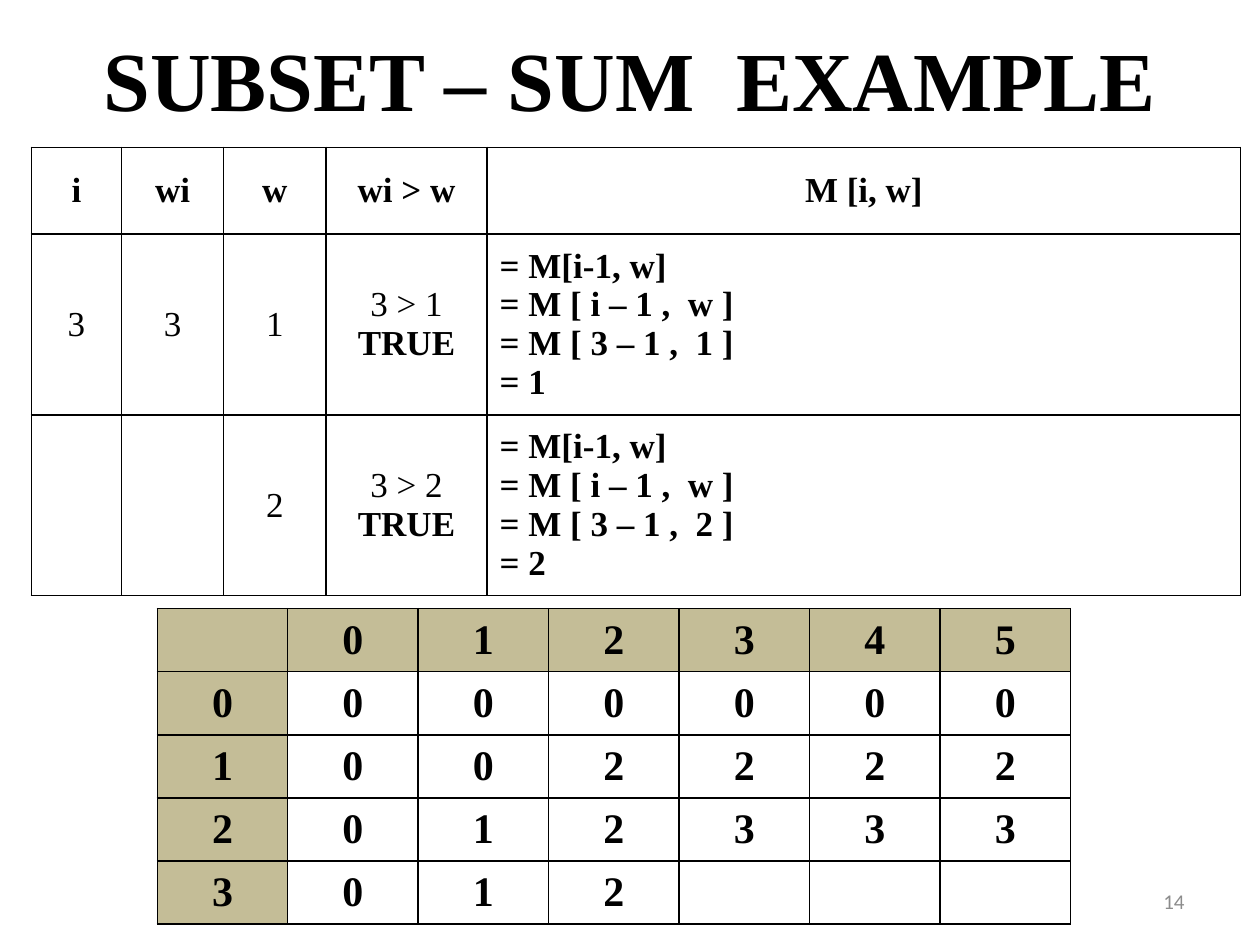
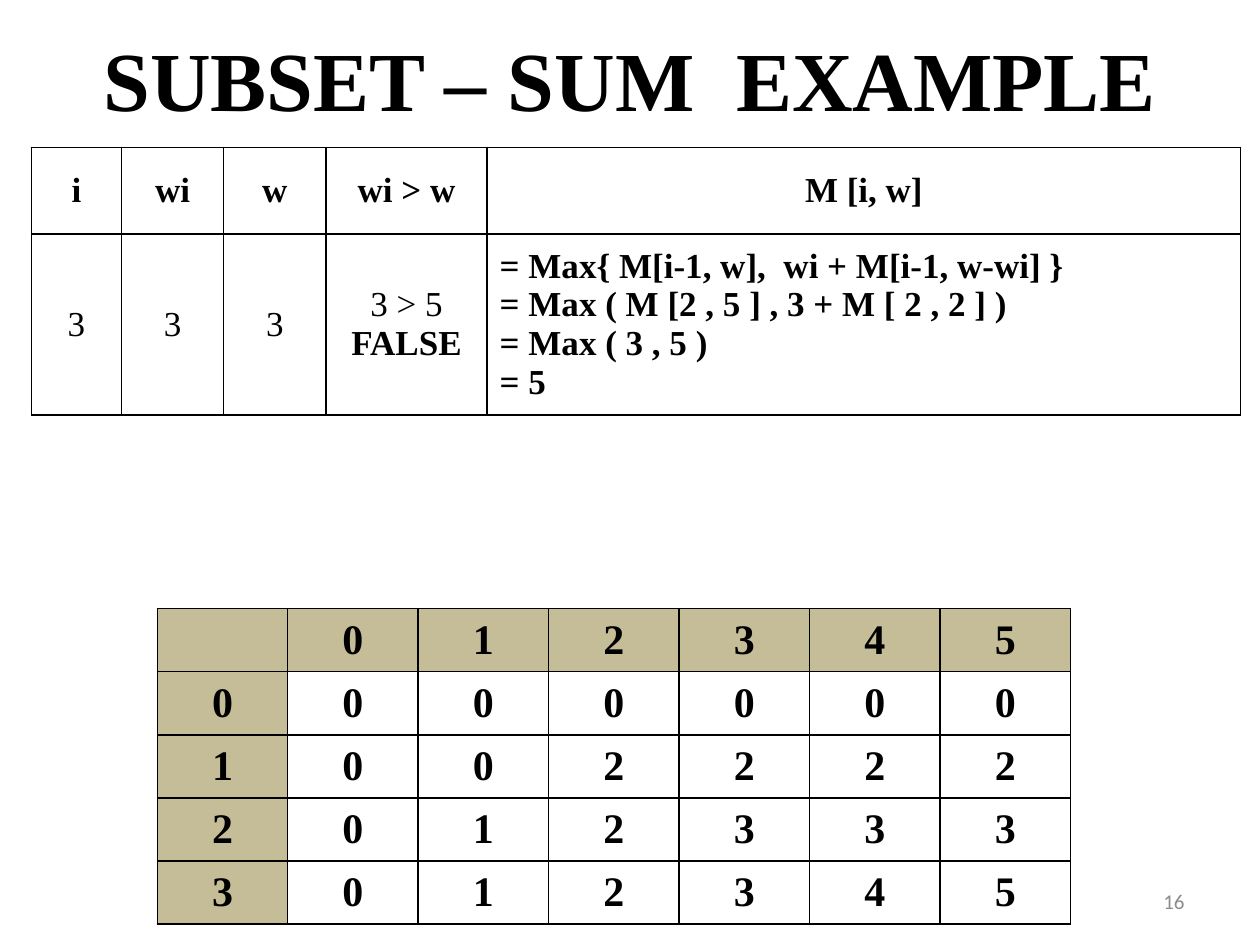
from lxml.etree import SubElement as Sub
from pptx import Presentation as Deck
from pptx.dml.color import RGBColor as Rgb
from pptx.enum.text import MSO_ANCHOR as Anchor, MSO_AUTO_SIZE as Fit, PP_ALIGN as Align
from pptx.oxml.ns import qn
from pptx.util import Cm, Pt

INK = {"text": "000000", "line": "000000", "head": "C4BD97", "page": "8C8C8C"}
SERIF, SANS = "Times New Roman", "Calibri"
TITLE = "SUBSET – SUM  EXAMPLE"
HEADS = ["i", "wi", "w", "wi > w", "M [i, w]"]
WIDTHS = [1.82, 2.06, 2.06, 3.25, 15.19]
SUMS = [
    [0, 0, 0, 0, 0, 0],
    [0, 0, 2, 2, 2, 2],
    [0, 1, 2, 3, 3, 3],
]
SLIDES = [
    {
        "page": "14",
        "steps": [
            ["3", "3", "1", "3 > 1\nTRUE",
             "= M[i-1, w]\n= M [ i – 1 ,  w ]\n= M [ 3 – 1 ,  1 ]\n= 1"],
            ["", "", "2", "3 > 2\nTRUE",
             "= M[i-1, w]\n= M [ i – 1 ,  w ]\n= M [ 3 – 1 ,  2 ]\n= 2"],
        ],
        "last": [0, 1, 2, "", "", ""],
    },
    {
        "page": "16",
        "steps": [
            ["3", "3", "3", "3 > 5\nFALSE",
             "= Max{ M[i-1, w],  wi + M[i-1, w-wi] }\n"
             "= Max ( M [2 , 5 ] , 3 + M [ 2 , 2 ] )\n= Max ( 3 , 5 )\n= 5"],
        ],
        "last": [0, 1, 2, 3, 4, 5],
    },
]


def style(para, size, bold=False, align=Align.CENTER, face=SERIF, tint="text"):
    para.alignment = align
    font = para.font
    font.name, font.size, font.bold = face, Pt(size), bold
    font.color.rgb = Rgb.from_string(INK[tint])


def place(shape, left, top, width, height):
    shape.left, shape.top = Cm(left), Cm(top)
    shape.width, shape.height = Cm(width), Cm(height)


def add_title(slide):
    title = slide.shapes.title
    place(title, 1.27, 0.2, 22.86, 2.74)
    frame = title.text_frame
    frame.text = TITLE
    frame.auto_size = Fit.NONE
    frame.vertical_anchor = Anchor.MIDDLE
    style(frame.paragraphs[0], 48, True)


def add_page(slide, page):
    box = slide.shapes.add_textbox(Cm(18.2), Cm(17.65), Cm(5.93), Cm(1.02))
    frame = box.text_frame
    frame.word_wrap = True
    frame.vertical_anchor = Anchor.MIDDLE
    frame.text = page
    style(frame.paragraphs[0], 12, align=Align.RIGHT, face=SANS, tint="page")


def add_edges(cell):
    props = cell._tc.get_or_add_tcPr()
    for side in ("lnL", "lnR", "lnT", "lnB"):
        line = Sub(props, qn(f"a:{side}"), w=str(Pt(1)))
        fill = Sub(line, qn("a:solidFill"))
        Sub(fill, qn("a:srgbClr"), val=INK["line"])


def add_table(slide, left, top, widths, heights, rows):
    frame = slide.shapes.add_table(
        len(rows), len(widths), Cm(left), Cm(top), Cm(sum(widths)), Cm(sum(heights)))
    table = frame.table
    table.first_row = table.horz_banding = False
    for col, width in zip(table.columns, widths):
        col.width = Cm(width)
    for row, height, texts in zip(table.rows, heights, rows):
        row.height = Cm(height)
        for cell, text in zip(row.cells, texts):
            cell.text = str(text)
            cell.vertical_anchor = Anchor.MIDDLE
            add_edges(cell)
            cell.fill.background()
    return table


def add_grid(slide, last):
    body = SUMS + [last]
    rows = [["", *range(6)]] + [[num, *sums] for num, sums in enumerate(body)]
    table = add_table(slide, 3.17, 12.27, [2.63] * 7, [1.19] * 5, rows)
    for r, row in enumerate(table.rows):
        for c, cell in enumerate(row.cells):
            style(cell.text_frame.paragraphs[0], 24, True)
            if r == 0 or c == 0:
                cell.fill.solid()
                cell.fill.fore_color.rgb = Rgb.from_string(INK["head"])


def add_steps(slide, steps):
    heights = [1.75] + [3.38] * len(steps)
    table = add_table(slide, 0.63, 2.97, WIDTHS, heights, [HEADS] + steps)
    for r, row in enumerate(table.rows):
        for c, cell in enumerate(row.cells):
            wide = r > 0 and c == len(HEADS) - 1
            for para in cell.text_frame.paragraphs:
                bold = r == 0 or wide or para.text.isupper()
                style(para, 20, bold, Align.LEFT if wide else Align.CENTER)


def main():
    deck = Deck()
    deck.slide_width, deck.slide_height = Cm(25.4), Cm(19.05)
    for data in SLIDES:
        slide = deck.slides.add_slide(deck.slide_layouts[5])
        add_title(slide)
        add_page(slide, data["page"])
        add_grid(slide, data["last"])
        add_steps(slide, data["steps"])
    deck.save("out.pptx")


if __name__ == "__main__":
    main()
